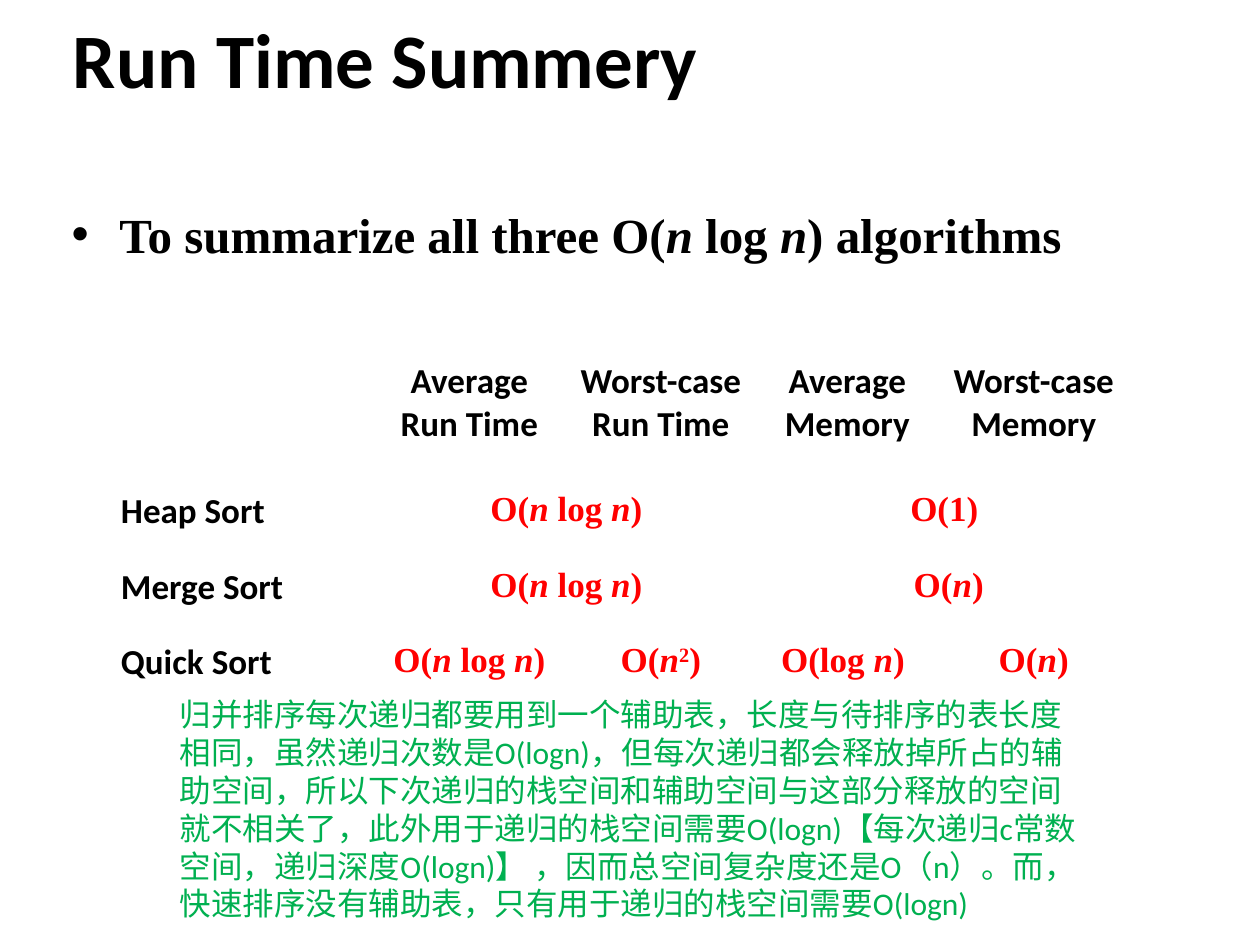
"""Build the slide that sums up run time and memory of three sorting algorithms."""
from dataclasses import dataclass

import pptx
import pptx.dml.color
import pptx.enum.lang
import pptx.enum.text
import pptx.oxml.ns
import pptx.util
from lxml import etree

Inches = pptx.util.Inches
Pt = pptx.util.Pt
RGBColor = pptx.dml.color.RGBColor
Align = pptx.enum.text.PP_ALIGN
Anchor = pptx.enum.text.MSO_ANCHOR
Language = pptx.enum.lang.MSO_LANGUAGE_ID
qn = pptx.oxml.ns.qn

BLACK = RGBColor(0x00, 0x00, 0x00)
RED = RGBColor(0xFF, 0x00, 0x00)
GREEN = RGBColor(0x00, 0xB0, 0x50)
WHITE = RGBColor(0xFF, 0xFF, 0xFF)
SANS = "Calibri"
SERIF = "Times New Roman"

COLUMN_WIDTHS = (2.15, 1.43, 1.61, 1.35, 1.61)
ROW_HEIGHTS = (1.03, 0.6, 0.6, 0.6)
HEADINGS = ("Average\nRun Time", "Worst-case\nRun Time",
            "Average\nMemory", "Worst-case\nMemory")
N_LOG_N = "O(*n* log *n*) "
EXPLANATION = (
    "归并排序每次递归都要用到一个辅助表，长度与待排序的表长度相同，"
    "虽然递归次数是O(logn)，但每次递归都会释放掉所占的辅助空间，"
    "所以下次递归的栈空间和辅助空间与这部分释放的空间就不相关了，"
    "此外用于递归的栈空间需要O(logn)【每次递归c常数空间，递归深度O(logn)】 ，"
    "因而总空间复杂度还是O（n）。而，快速排序没有辅助表，"
    "只有用于递归的栈空间需要O(logn)"
)


@dataclass(frozen=True)
class Algorithm:
    """A table row; costs spread evenly over the four value columns."""
    name: str
    costs: tuple[str, ...]


ALGORITHMS = (
    Algorithm("Heap Sort", (N_LOG_N, "O(1) ")),
    Algorithm("Merge Sort", (N_LOG_N, "O(*n*)")),
    Algorithm("Quick Sort", (N_LOG_N, "O(*n*^2^)", "O(log *n*) ", "O(*n*)")),
)


def write(frame, text: str, *, size: float, font: str = SANS,
          color: RGBColor = BLACK, bold: bool = True, align=Align.LEFT,
          language=Language.ENGLISH_US) -> None:
    """Fill a text frame; *stars* mark italics and ^carets^ superscript."""
    for number, line in enumerate(text.split("\n")):
        para = frame.add_paragraph() if number else frame.paragraphs[0]
        para.alignment = align
        for i, part in enumerate(line.split("*")):
            for j, piece in enumerate(part.split("^")):
                if not piece:
                    continue
                span = para.add_run()
                span.text = piece
                span.font.name = font
                span.font.size = Pt(size)
                span.font.bold = bold
                span.font.italic = i % 2 == 1
                span.font.color.rgb = color
                span.font.language_id = language
                if j % 2:
                    span._r.get_or_add_rPr().set("baseline", "30000")


def add_text(page, left: float, top: float, width: float, height: float,
             text: str, *, anchor=Anchor.TOP, **style):
    """Add a wrapping text box and return it."""
    box = page.shapes.add_textbox(Inches(left), Inches(top),
                                  Inches(width), Inches(height))
    box.text_frame.word_wrap = True
    box.text_frame.vertical_anchor = anchor
    write(box.text_frame, text, **style)
    return box


def add_bullet(para, indent: float) -> None:
    """Give a paragraph a round bullet with a hanging indent."""
    properties = para._p.get_or_add_pPr()
    properties.set("marL", str(Inches(indent)))
    properties.set("indent", str(-Inches(indent)))
    etree.SubElement(properties, qn("a:buFont"), typeface="Arial")
    etree.SubElement(properties, qn("a:buChar"), char="•")


def style_cell(cell, row: int) -> None:
    """Clear the cell's fill and draw its white borders, thick under the header."""
    properties = cell._tc.get_or_add_tcPr()
    widths = {"L": 1, "R": 1, "T": 3 if row == 1 else 1, "B": 3 if row == 0 else 1}
    for side, width in widths.items():
        line = etree.SubElement(properties, qn(f"a:ln{side}"), w=str(Pt(width)))
        fill = etree.SubElement(line, qn("a:solidFill"))
        etree.SubElement(fill, qn("a:srgbClr"), val=str(WHITE))
    cell.fill.background()


def add_summary_table(page) -> None:
    """Add the table of costs for each algorithm."""
    table = page.shapes.add_table(
        len(ROW_HEIGHTS), len(COLUMN_WIDTHS), Inches(0.86), Inches(2.81),
        Inches(sum(COLUMN_WIDTHS)), Inches(sum(ROW_HEIGHTS))).table
    table.first_row = table.horz_banding = False
    for column, width in zip(table.columns, COLUMN_WIDTHS):
        column.width = Inches(width)
    for row, height in enumerate(ROW_HEIGHTS):
        table.rows[row].height = Inches(height)
        for column in range(len(COLUMN_WIDTHS)):
            style_cell(table.cell(row, column), row)
    for column, heading in enumerate(HEADINGS, 1):
        write(table.cell(0, column).text_frame, heading, size=20, align=Align.CENTER)
    for row, algorithm in enumerate(ALGORITHMS, 1):
        write(table.cell(row, 0).text_frame, algorithm.name, size=20)
        reach = len(HEADINGS) // len(algorithm.costs)
        for index, cost in enumerate(algorithm.costs):
            first = 1 + index * reach
            cell = table.cell(row, first)
            if reach > 1:
                cell.merge(table.cell(row, first + reach - 1))
            write(cell.text_frame, cost, size=20, font=SERIF, color=RED,
                  align=Align.CENTER)


def main() -> None:
    """Build and save the deck."""
    deck = pptx.Presentation()
    deck.slide_width, deck.slide_height = Inches(10), Inches(7.5)
    page = deck.slides.add_slide(deck.slide_layouts[6])
    add_text(page, 0.48, 0.08, 9.19, 0.75, "Run Time Summery", size=44,
             anchor=Anchor.MIDDLE)
    body = add_text(page, 0.47, 1.57, 9.06, 5.51,
                    "To summarize all three O(*n* log *n*) algorithms",
                    size=28, font=SERIF, align=Align.JUSTIFY)
    para = body.text_frame.paragraphs[0]
    para.space_before = Pt(4)
    add_bullet(para, 0.38)
    add_summary_table(page)
    add_text(page, 1.33, 5.47, 7.42, 1.92, EXPLANATION, size=18, color=GREEN,
             bold=False, language=Language.SIMPLIFIED_CHINESE)
    deck.save("out.pptx")


if __name__ == "__main__":
    main()
